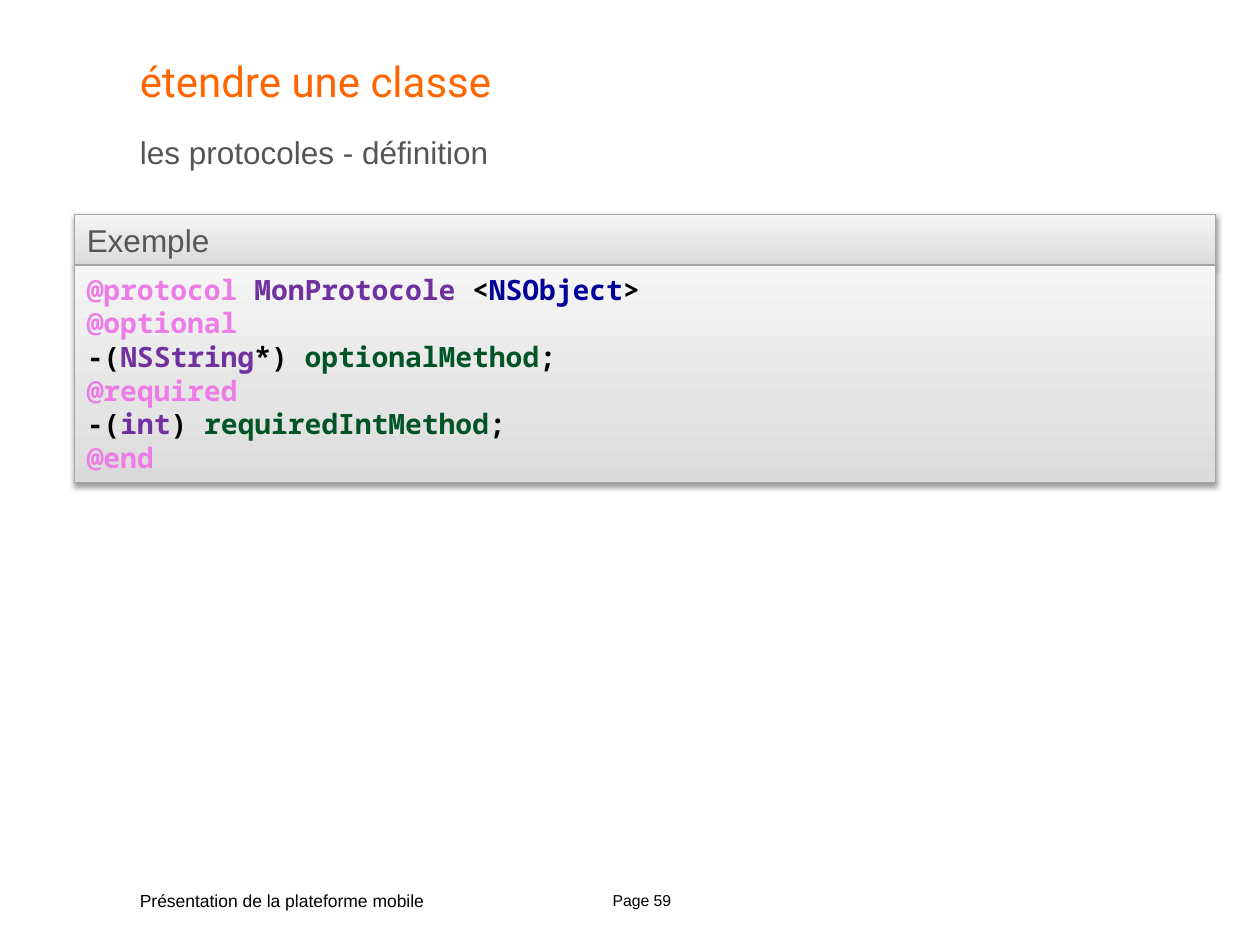
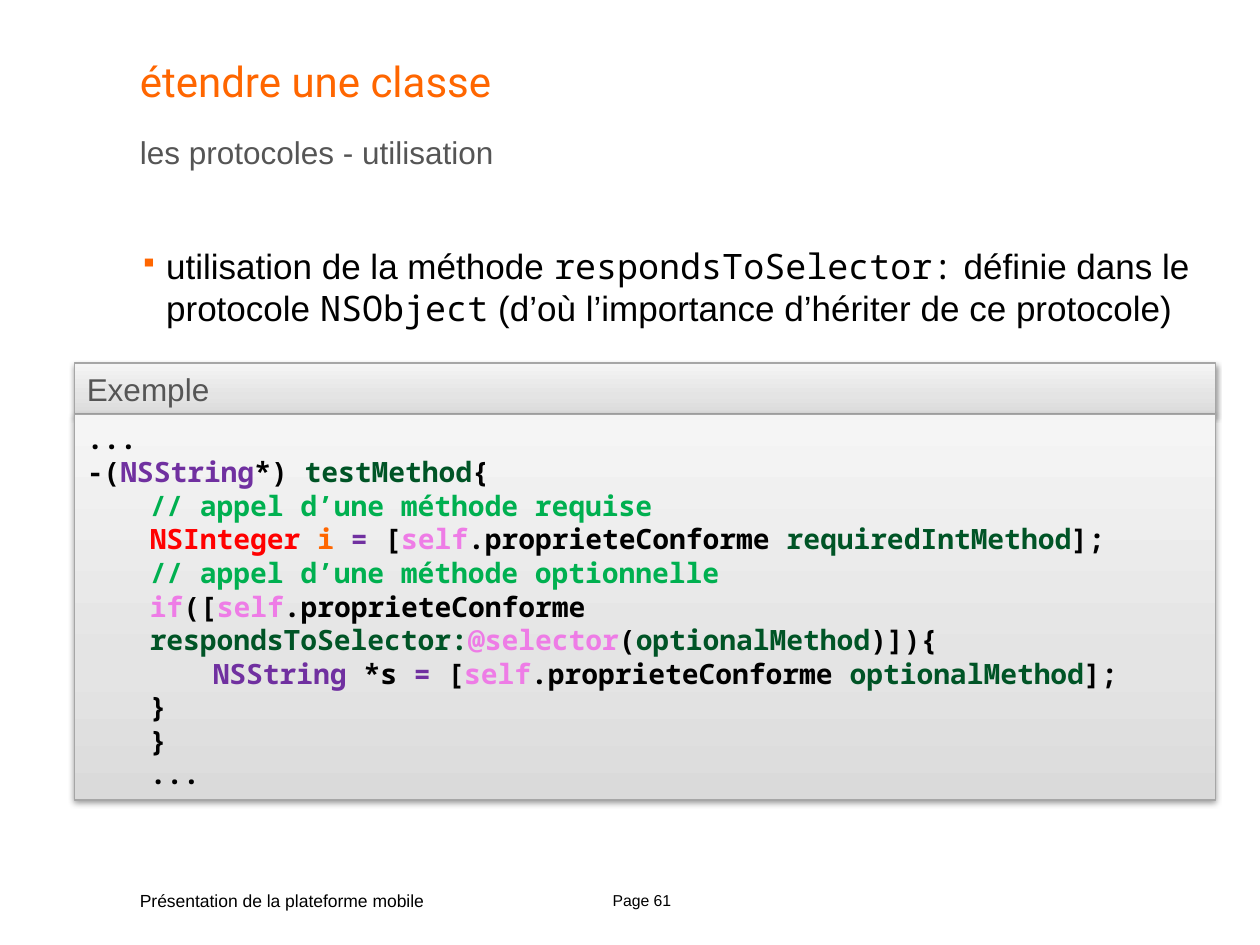
"""Build two slides on Objective-C protocols: definition and use."""
from copy import deepcopy
from dataclasses import dataclass
from typing import NamedTuple

from lxml.etree import SubElement
from pptx import Presentation
from pptx.dml.color import RGBColor
from pptx.enum.shapes import MSO_SHAPE
from pptx.enum.text import MSO_ANCHOR, MSO_AUTO_SIZE, PP_ALIGN
from pptx.oxml.ns import qn
from pptx.util import Cm, Pt


@dataclass(frozen=True)
class Theme:
    accent: str = "FF6600"
    grey: str = "555555"
    black: str = "000000"
    keyword: str = "EE7CE6"
    type_name: str = "7030A0"
    root_type: str = "000099"
    method: str = "005426"
    comment: str = "00B050"
    integer: str = "FF0000"
    border: str = "A6A6A6"
    panel: tuple = ((0, "DADADA"), (0.35, "E4E4E4"), (1, "F5F5F5"))
    text_font: str = "Arial"
    title_font: str = "Roboto"
    code_font: str = "Noto Sans Mono"
    title_size: int = 24
    heading_size: int = 18
    body_size: int = 20
    code_size: int = 16
    footer_size: int = 10
    page_size: int = 9
    line_pitch: float = 1.2


THEME = Theme()


class Area(NamedTuple):
    left: float
    top: float
    width: float
    height: float

    def lengths(self) -> list:
        return [Cm(value) for value in self]


class Span(NamedTuple):
    text: str
    color: str = THEME.black
    font: str = THEME.code_font


class CodeLine(NamedTuple):
    spans: list
    level: int = 0


class Example(NamedTuple):
    top: float
    code_height: float
    lines: list


class Page(NamedTuple):
    number: int
    subtitle: str
    example: Example
    bullet: list


TITLE = "étendre une classe"
FOOTER = "Présentation de la plateforme mobile"
TITLE_AREA = Area(2.82, 1.12, 21.69, 1.37)
SUBTITLE_AREA = Area(2.82, 2.69, 21.69, 0.84)
BULLET_AREA = Area(2.82, 4.93, 21.69, 12.4)
FOOTER_AREA = Area(2.82, 17.81, 6.91, 0.61)
PAGE_AREA = Area(11.91, 17.83, 2.06, 0.61)
PANEL_LEFT, PANEL_WIDTH = 1.5, 23.01
HEADING_HEIGHT, HEADING_PITCH = 1.02, 1.04
CODE_INDENT = 1.27
BULLET_INDENT = 0.53


def keyword(text: str) -> Span:
    """Return a span in the keyword colour."""
    return Span(text, THEME.keyword)


def type_name(text: str) -> Span:
    """Return a span in the type colour."""
    return Span(text, THEME.type_name)


def method(text: str) -> Span:
    """Return a span in the method colour."""
    return Span(text, THEME.method)


def comment(text: str) -> Span:
    """Return a span in the comment colour."""
    return Span(text, THEME.comment)


def prose(text: str) -> Span:
    """Return a span in the text font."""
    return Span(text, font=THEME.text_font)


PROPERTY = [keyword("self"), Span(".proprieteConforme ")]

DEFINITION = [
    CodeLine([keyword("@protocol "), type_name("MonProtocole "), Span("<"),
              Span("NSObject", THEME.root_type), Span(">")]),
    CodeLine([keyword("@optional")]),
    CodeLine([Span("-("), type_name("NSString"), Span("*) "), method("optionalMethod"), Span(";")]),
    CodeLine([keyword("@required")]),
    CodeLine([Span("-("), type_name("int"), Span(") "), method("requiredIntMethod"), Span(";")]),
    CodeLine([keyword("@end")]),
]

USAGE = [
    CodeLine([Span("...")]),
    CodeLine([Span("-("), type_name("NSString"), Span("*) "), method("testMethod"), Span("{")]),
    CodeLine([comment("// appel d’une méthode requise")], 1),
    CodeLine([Span("NSInteger ", THEME.integer), Span("i", THEME.accent), type_name(" = "),
              Span("["), *PROPERTY, method("requiredIntMethod"), Span("];")], 1),
    CodeLine([comment("// appel d’une méthode optionnelle")], 1),
    CodeLine([keyword("if"), Span("(["), *PROPERTY, method("respondsToSelector:"),
              keyword("@selector"), Span("("), method("optionalMethod"), Span(")]){")], 1),
    CodeLine([type_name("NSString "), Span("*s"), type_name(" = "), Span("["), *PROPERTY,
              method("optionalMethod"), Span("];")], 2),
    CodeLine([Span("}")], 1),
    CodeLine([Span("}")], 1),
    CodeLine([Span("...")], 1),
]

PAGES = [
    Page(59, "les protocoles - définition", Example(4.32, 4.37, DEFINITION), []),
    Page(61, "les protocoles - utilisation", Example(7.32, 7.77, USAGE), [
        prose("utilisation de la méthode "), Span("respondsToSelector:"),
        prose(" définie dans le protocole "), Span("NSObject"),
        prose(" (d’où l’importance d’hériter de ce protocole)")]),
]


def set_frame(frame, horizontal: float = 0.25, vertical: float = 0.13, wrap: bool = True) -> None:
    """Set margins in centimetres, wrapping and top anchoring."""
    frame.margin_left = frame.margin_right = Cm(horizontal)
    frame.margin_top = frame.margin_bottom = Cm(vertical)
    frame.word_wrap = wrap
    frame.auto_size = MSO_AUTO_SIZE.NONE
    frame.vertical_anchor = MSO_ANCHOR.TOP


def format_font(font, name: str, size: float, color: str, bold: bool = False) -> None:
    """Apply typeface, size, colour and weight."""
    font.name = name
    font.size = Pt(size)
    font.bold = bold
    font.color.rgb = RGBColor.from_string(color)


def set_text(frame, text: str, name: str, size: float, color: str, align=PP_ALIGN.LEFT) -> None:
    """Write one plain paragraph."""
    frame.text = text
    para = frame.paragraphs[0]
    para.alignment = align
    format_font(para.runs[0].font, name, size, color)


def add_spans(para, spans: list, size: float, bold: bool = False) -> None:
    """Write coloured spans on an even line pitch."""
    para.alignment = PP_ALIGN.LEFT
    para.line_spacing = Pt(size * THEME.line_pitch)
    for span in spans:
        run = para.add_run()
        run.text = span.text
        format_font(run.font, span.font, size, span.color, bold)


def add_label(page, area: Area, text: str, size: float, color: str = THEME.black,
              align=PP_ALIGN.LEFT, **margins) -> None:
    """Add a one-line text box."""
    frame = page.shapes.add_textbox(*area.lengths()).text_frame
    set_frame(frame, **margins)
    set_text(frame, text, THEME.text_font, size, color, align)


def add_bullet(page, spans: list) -> None:
    """Add the bulleted statement."""
    frame = page.shapes.add_textbox(*BULLET_AREA.lengths()).text_frame
    set_frame(frame, 0, 0)
    para = frame.paragraphs[0]
    properties = para._p.get_or_add_pPr()
    properties.set("marL", str(Cm(BULLET_INDENT)))
    properties.set("indent", str(-Cm(BULLET_INDENT)))
    bullet_color = SubElement(properties, qn("a:buClr"))
    SubElement(bullet_color, qn("a:srgbClr"), val=THEME.accent)
    SubElement(properties, qn("a:buSzPct"), val="70000")
    SubElement(properties, qn("a:buChar"), char="▪")
    add_spans(para, spans, THEME.body_size)


def add_panel(shapes, area: Area):
    """Add a grey gradient rectangle with a soft shadow and return its text frame."""
    box = shapes.add_shape(MSO_SHAPE.RECTANGLE, *area.lengths())
    box.fill.gradient()
    box.fill.gradient_angle = 90
    properties = box._element.spPr
    stops = properties.find(".//" + qn("a:gsLst"))
    stops.insert(1, deepcopy(stops[0]))
    for stop, (position, color) in zip(box.fill.gradient_stops, THEME.panel):
        stop.position = position
        stop.color.rgb = RGBColor.from_string(color)
    box.line.color.rgb = RGBColor.from_string(THEME.border)
    box.line.width = Pt(0.75)
    box.shadow.inherit = False
    shadow = SubElement(properties.find(qn("a:effectLst")), qn("a:outerShdw"),
                        blurRad=str(Pt(3.1)), dist=str(Pt(1.6)), dir="5400000", rotWithShape="0")
    shade = SubElement(shadow, qn("a:srgbClr"), val=THEME.black)
    SubElement(shade, qn("a:alpha"), val="38000")
    set_frame(box.text_frame)
    return box.text_frame


def add_example(page, example: Example) -> None:
    """Add the grouped heading and code panels."""
    shapes = page.shapes.add_group_shape().shapes
    heading = add_panel(shapes, Area(PANEL_LEFT, example.top, PANEL_WIDTH, HEADING_HEIGHT))
    set_text(heading, "Exemple", THEME.text_font, THEME.heading_size, THEME.grey)
    code = add_panel(shapes, Area(PANEL_LEFT, example.top + HEADING_PITCH,
                                  PANEL_WIDTH, example.code_height))
    for index, line in enumerate(example.lines):
        para = code.add_paragraph() if index else code.paragraphs[0]
        para._p.get_or_add_pPr().set("marL", str(Cm(CODE_INDENT * line.level)))
        add_spans(para, line.spans, THEME.code_size, bold=True)


def add_page(deck, content: Page) -> None:
    """Add one slide with its title, footer and content."""
    page = deck.slides.add_slide(deck.slide_layouts[5])
    title = page.shapes.title
    title.left, title.top, title.width, title.height = TITLE_AREA.lengths()
    set_frame(title.text_frame, 0, 0)
    set_text(title.text_frame, TITLE, THEME.title_font, THEME.title_size, THEME.accent)
    add_label(page, PAGE_AREA, f"Page {content.number}", THEME.page_size, align=PP_ALIGN.CENTER)
    add_label(page, FOOTER_AREA, FOOTER, THEME.footer_size, horizontal=0, wrap=False)
    add_label(page, SUBTITLE_AREA, content.subtitle, THEME.heading_size, THEME.grey,
              horizontal=0, vertical=0)
    if content.bullet:
        add_bullet(page, content.bullet)
    add_example(page, content.example)


def main() -> None:
    """Build and save the deck."""
    deck = Presentation()
    deck.slide_width, deck.slide_height = Cm(25.4), Cm(19.05)
    for content in PAGES:
        add_page(deck, content)
    deck.save("out.pptx")


if __name__ == "__main__":
    main()
